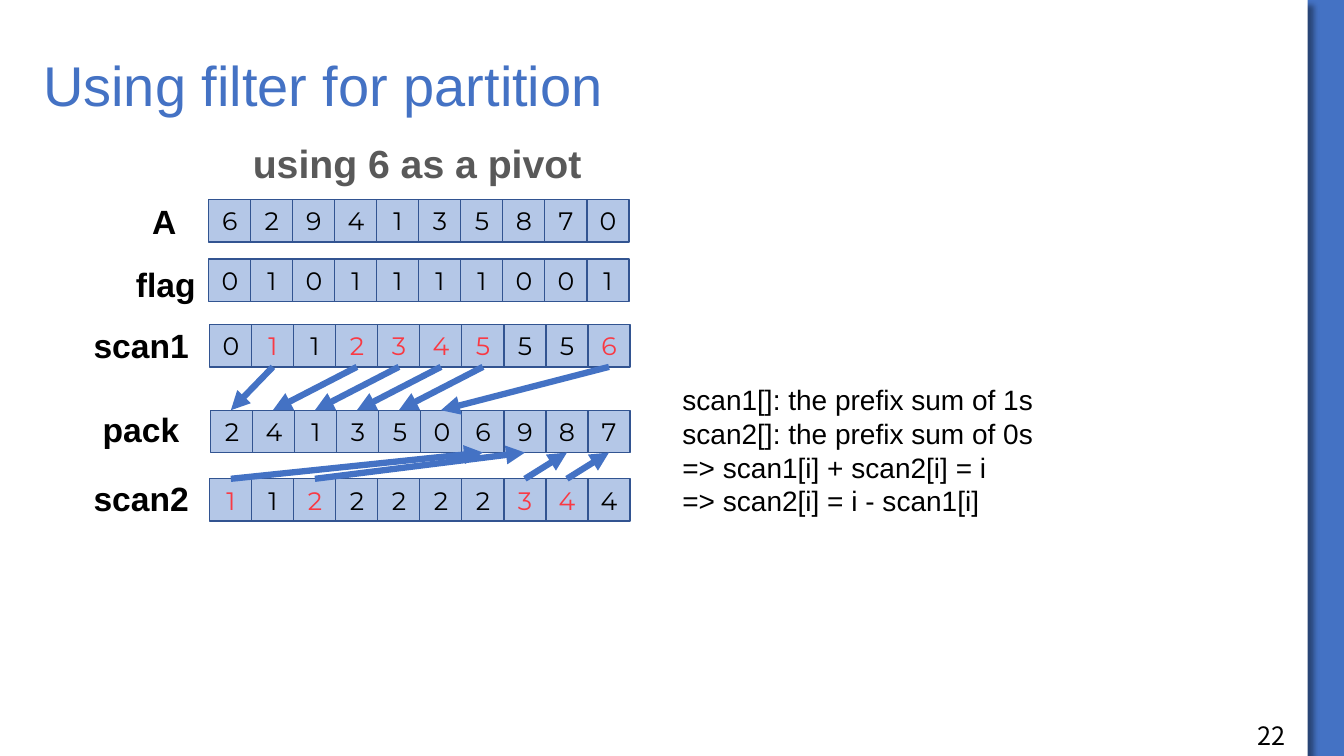
from lxml.etree import SubElement
from pptx import Presentation
from pptx.dml.color import RGBColor
from pptx.enum.shapes import MSO_CONNECTOR, MSO_SHAPE
from pptx.enum.text import MSO_ANCHOR, PP_ALIGN
from pptx.oxml.ns import qn
from pptx.util import Inches, Pt

COLORS = {"blue": "4472C4", "cell": "B4C7E7", "edge": "325491", "red": "F93943",
          "gray": "595959", "black": "000000", "white": "FFFFFF"}
SIDE = 0.42       # cell side
STEP = 5 / 12     # distance between neighbouring cells
LEFT = 2.08       # left edge of the scan rows
FLAGS = "0101111001"
SCAN1 = "0112345556"
SCAN2 = "1122222344"
Y_SCAN1, Y_PACK, Y_SCAN2 = 3.22, 4.07, 4.75


def color(name):
    return RGBColor.from_string(COLORS[name])


def add_run(para, text, size, font, ink, bold=False):
    run = para.add_run()
    run.text = text
    run.font.size = Pt(size)
    run.font.name = font
    run.font.bold = bold
    run.font.color.rgb = color(ink)


def add_label(slide, box, lines, size, ink="black", bold=False, font="Arial",
              wrap=False, middle=False):
    frame = slide.shapes.add_textbox(*map(Inches, box)).text_frame
    frame.word_wrap = wrap
    frame.vertical_anchor = MSO_ANCHOR.MIDDLE if middle else MSO_ANCHOR.TOP
    for i, line in enumerate(lines):
        para = frame.add_paragraph() if i else frame.paragraphs[0]
        add_run(para, line, size, font, ink, bold)
    return frame


def add_rect(slide, box, fill):
    rect = slide.shapes.add_shape(MSO_SHAPE.RECTANGLE, *map(Inches, box))
    rect.shadow.inherit = False
    rect.fill.solid()
    rect.fill.fore_color.rgb = color(fill)
    return rect


def add_page(slide):
    """White page with a soft shadow on the blue background."""
    slide.background.fill.solid()
    slide.background.fill.fore_color.rgb = color("blue")
    page = add_rect(slide, (0, 0, 12.97, 7.5), "white")
    page.line.fill.background()
    effects = page._element.spPr.find(qn("a:effectLst"))
    shade = SubElement(effects, qn("a:outerShdw"), blurRad=str(Pt(4)),
                       dist=str(Pt(6)), dir=str(45 * 60000), algn="tl", rotWithShape="0")
    ink = SubElement(shade, qn("a:srgbClr"), val=COLORS["black"])
    SubElement(ink, qn("a:alpha"), val="40000")


def add_row(slide, digits, left, top, start=0, mark=None):
    """Cells of an array; digits whose flag equals mark are red."""
    for i, digit in enumerate(digits, start):
        cell = add_rect(slide, (left + i * STEP, top, SIDE, SIDE), "cell")
        cell.line.color.rgb = color("edge")
        cell.line.width = Pt(1)
        frame = cell.text_frame
        frame.vertical_anchor = MSO_ANCHOR.MIDDLE
        para = frame.paragraphs[0]
        para.alignment = PP_ALIGN.CENTER
        add_run(para, digit, 18, "Montserrat", "red" if FLAGS[i] == mark else "black")


def add_arrow(slide, x1, y1, x2, y2):
    arrow = slide.shapes.add_connector(MSO_CONNECTOR.STRAIGHT,
                                       *map(Inches, (x1, y1, x2, y2)))
    arrow.line.color.rgb = color("blue")
    arrow.line.width = Pt(4.5)
    SubElement(arrow.line._get_or_add_ln(), qn("a:tailEnd"), type="triangle")
    SubElement(arrow._element.spPr, qn("a:effectLst"))


def add_moves(slide, scan, mark, shift, y1, y2):
    """Arrows from each marked scan cell to its slot in the pack row."""
    mid = LEFT + SIDE / 2
    for i, flag in enumerate(FLAGS):
        if flag == mark:
            slot = int(scan[i]) + shift
            add_arrow(slide, mid + i * STEP, y1, mid + slot * STEP, y2)


def main():
    deck = Presentation()
    deck.slide_width, deck.slide_height = Inches(13.33), Inches(7.5)
    slide = deck.slides.add_slide(deck.slide_layouts[6])
    add_page(slide)

    # Title, subtitle and page number
    title = add_label(slide, (0.33, 0.5, 12.33, 0.75), ["Using filter for partition"],
                      40, "blue", wrap=True, middle=True)
    title.paragraphs[0].line_spacing = 0.9
    add_label(slide, (2.41, 1.33, 3.5, 0.57), ["using 6 as a pivot"], 28, "gray", True)
    add_label(slide, (12.37, 7.1, 0.86, 0.4), ["22"], 18, font="Noto Sans CJK SC", wrap=True)

    # Row names
    for name, left, top, width in (("A", 1.41, 1.94, 0.45), ("flag", 1.25, 2.57, 0.8),
                                   ("scan1", 0.83, 3.17, 1.17), ("pack", 0.92, 4.01, 1.09),
                                   ("scan2", 0.83, 4.69, 1.17)):
        add_label(slide, (left, top, width, 0.5), [name], 24, bold=True)

    # Arrays
    add_row(slide, "6294135870", 2.07, 1.98)
    add_row(slide, FLAGS, 2.07, 2.57)
    add_row(slide, SCAN1, LEFT, Y_SCAN1, mark="1")
    add_row(slide, "241350", 2.09, Y_PACK)
    add_row(slide, "6987", LEFT, Y_PACK, start=6)
    add_row(slide, SCAN2, LEFT, Y_SCAN2, mark="0")

    # Arrows into the pack row
    add_moves(slide, SCAN1, "1", -1, Y_SCAN1 + SIDE, Y_PACK)
    add_moves(slide, SCAN2, "0", 5, Y_SCAN2, Y_PACK + SIDE)

    # Explanation
    add_label(slide, (6.67, 3.75, 3.7, 1.45),
              ["scan1[]: the prefix sum of 1s", "scan2[]: the prefix sum of 0s",
               "=> scan1[i] + scan2[i] = i", "=> scan2[i] = i - scan1[i]"], 20)
    deck.save("out.pptx")


if __name__ == "__main__":
    main()
